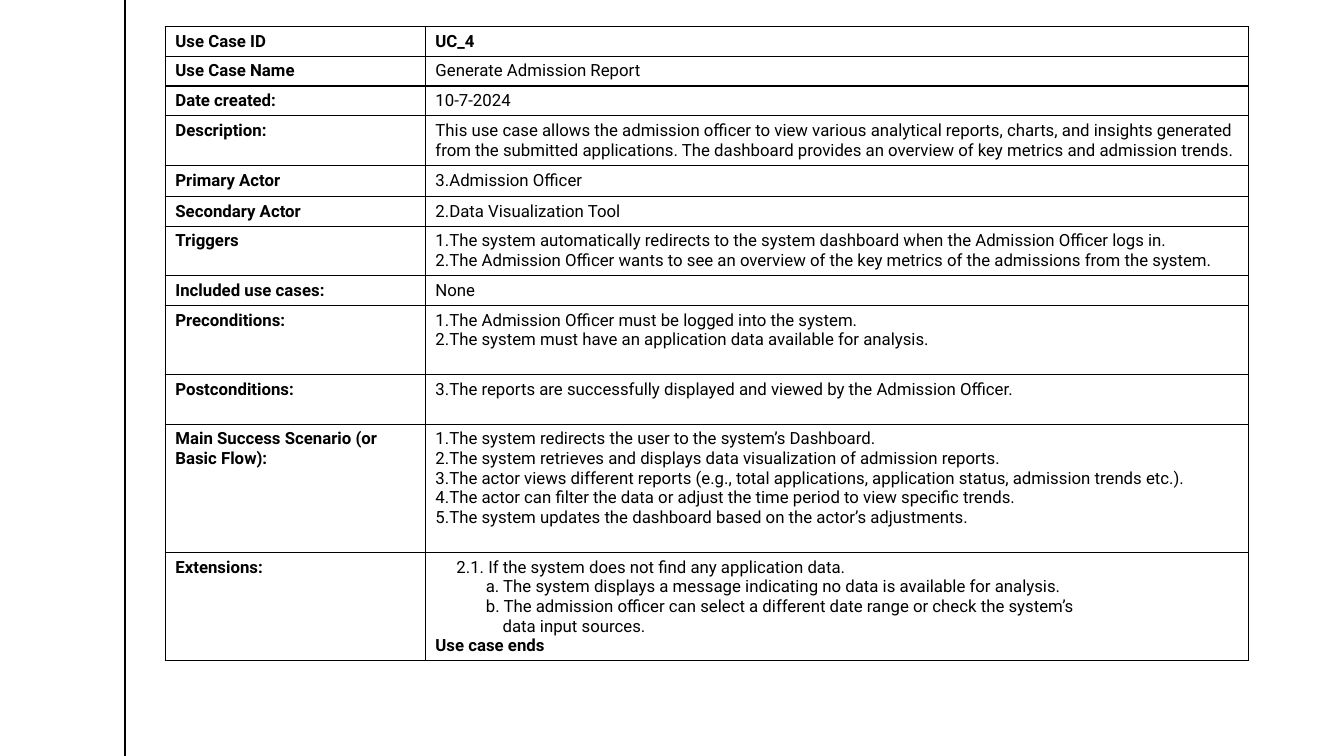
from collections import namedtuple

from lxml.etree import SubElement
from pptx import Presentation
from pptx.dml.color import RGBColor
from pptx.enum.shapes import MSO_CONNECTOR as Connector
from pptx.oxml.ns import qn
from pptx.util import Pt

COLORS = {"ink": "000000"}
FONT = "Roboto"
TEXT_SIZE = 12
LINE_HEIGHT = 14.06
CELL_PADDING = 7.2
COLUMN_WIDTHS = (185.76, 588.24)

Line = namedtuple("Line", "text number indent bold", defaults=(0, 0, False))
Row = namedtuple("Row", "label lines height_in_lines", defaults=(1,))


def numbered(*texts, start=1):
    """Return lines numbered from start."""
    return [Line(text, number) for number, text in enumerate(texts, start)]


ROWS = [
    Row("Use Case ID", [Line("UC_4", bold=True)]),
    Row("Use Case Name", [Line("Generate Admission Report")]),
    Row("Date created:", [Line("10-7-2024")]),
    Row("Description:", [Line(
        "This use case allows the admission officer to view various analytical reports, "
        "charts, and insights generated from the submitted applications. The dashboard "
        "provides an overview of key metrics and admission trends.")], 2),
    Row("Primary Actor", numbered("Admission Officer", start=3), 1.07),
    Row("Secondary Actor", numbered("Data Visualization Tool", start=2)),
    Row("Triggers", numbered(
        "The system automatically redirects to the system dashboard when the Admission "
        "Officer logs in.",
        "The Admission Officer wants to see an overview of the key metrics of the "
        "admissions from the system."), 2),
    Row("Included use cases:", [Line("None")]),
    Row("Preconditions:", numbered(
        "The Admission Officer must be logged into the system.",
        "The system must have an application data available for analysis."), 3),
    Row("Postconditions:", numbered(
        "The reports are successfully displayed and viewed by the Admission Officer.",
        start=3), 2),
    Row("Main Success Scenario (or Basic Flow):", numbered(
        "The system redirects the user to the system’s Dashboard.",
        "The system retrieves and displays data visualization of admission reports.",
        "The actor views different reports (e.g., total applications, application status, "
        "admission trends etc.).",
        "The actor can filter the data or adjust the time period to view specific trends.",
        "The system updates the dashboard based on the actor’s adjustments."), 6),
    Row("Extensions:", [
        Line("2.1. If the system does not find any application data.", indent=15),
        Line("a. The system displays a message indicating no data is available for "
             "analysis.", indent=36),
        Line("b. The admission officer can select a different date range or check the "
             "system’s", indent=36),
        Line("data input sources.", indent=48),
        Line("Use case ends", bold=True)], 5),
]


def add_rule(page, x, height):
    """Draw a full-height vertical rule."""
    rule = page.shapes.add_connector(Connector.STRAIGHT, Pt(x), 0, Pt(x), height)
    rule.line.color.rgb = RGBColor.from_string(COLORS["ink"])
    rule.line.width = Pt(1)
    SubElement(rule._element.spPr, qn("a:effectLst"))


def format_paragraph(para, line):
    """Write one line with its number, indent and font."""
    para.text = line.text
    properties = para._p.get_or_add_pPr()
    properties.set("marL", str(Pt(line.indent)))
    properties.set("indent", "0")
    if line.number:
        SubElement(properties, qn("a:buAutoNum"), type="arabicPeriod",
                   startAt=str(line.number))
    else:
        SubElement(properties, qn("a:buNone"))
    font = para.font
    font.name, font.size, font.bold = FONT, Pt(TEXT_SIZE), line.bold
    font.color.rgb = RGBColor.from_string(COLORS["ink"])


def fill_cell(cell, lines):
    """Give a cell its borders, clear fill and lines of text."""
    properties = cell._tc.get_or_add_tcPr()
    for side in ("lnL", "lnR", "lnT", "lnB"):
        border = SubElement(properties, qn(f"a:{side}"), w=str(Pt(1)))
        SubElement(SubElement(border, qn("a:solidFill")), qn("a:srgbClr"),
                   val=COLORS["ink"])
    cell.fill.background()
    frame = cell.text_frame
    for index, line in enumerate(lines):
        para = frame.add_paragraph() if index else frame.paragraphs[0]
        format_paragraph(para, line)


def add_use_case_table(page, left, top):
    """Build the use case table from its rows."""
    heights = [Pt(row.height_in_lines * LINE_HEIGHT + CELL_PADDING) for row in ROWS]
    table = page.shapes.add_table(len(ROWS), len(COLUMN_WIDTHS), Pt(left), Pt(top),
                                  Pt(sum(COLUMN_WIDTHS)), sum(heights)).table
    table.first_row = table.horz_banding = False
    for column, width in zip(table.columns, COLUMN_WIDTHS):
        column.width = Pt(width)
    for index, (row, height) in enumerate(zip(ROWS, heights)):
        table.rows[index].height = height
        fill_cell(table.cell(index, 0), [Line(row.label, bold=True)])
        fill_cell(table.cell(index, 1), row.lines)


def main():
    """Create the deck with the use case page."""
    deck = Presentation()
    deck.slide_width, deck.slide_height = Pt(960), Pt(540)
    page = deck.slides.add_slide(deck.slide_layouts[6])
    add_rule(page, 89.3, deck.slide_height)
    add_use_case_table(page, 118.1, 18.9)
    deck.save("out.pptx")


if __name__ == "__main__":
    main()
